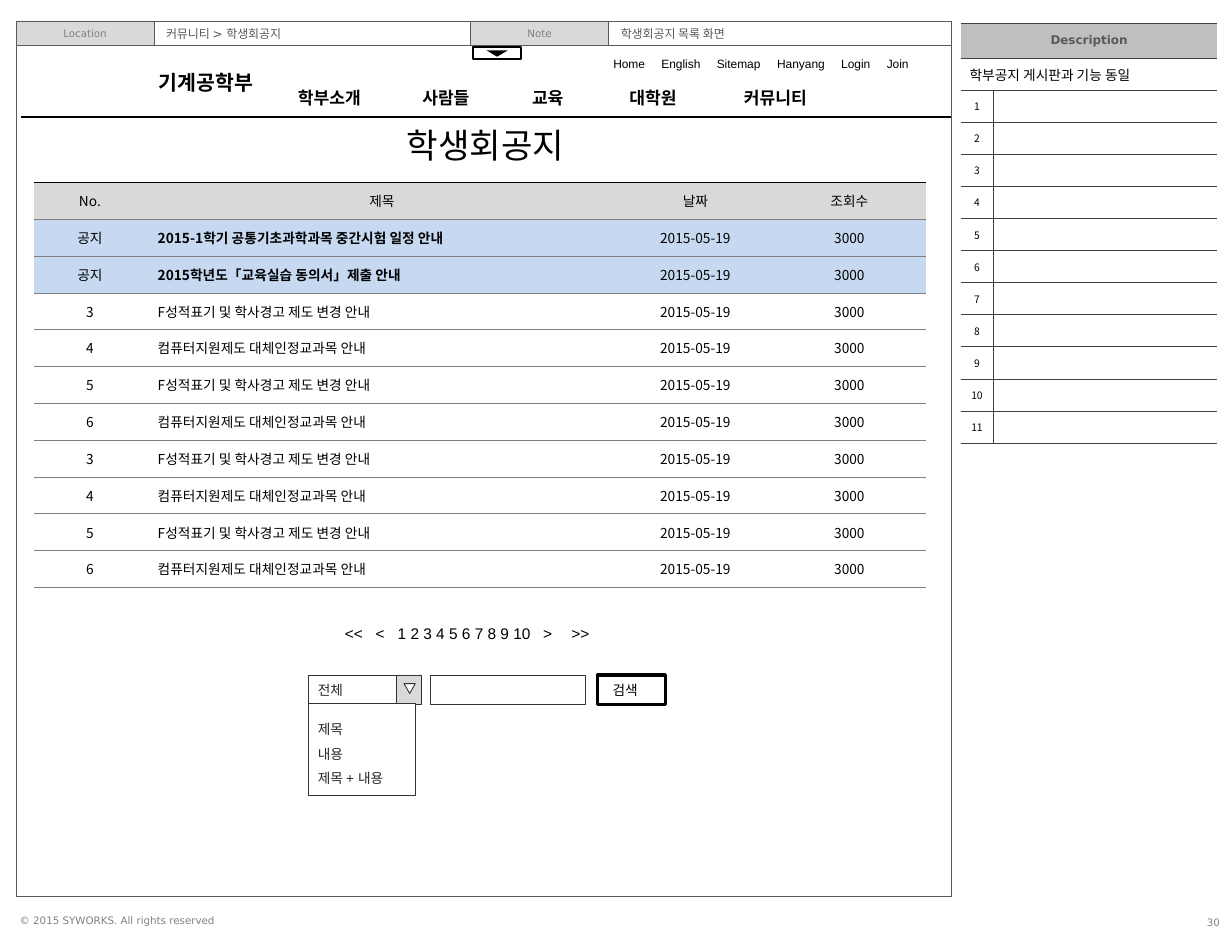
from lxml.etree import SubElement
from pptx import Presentation
from pptx.dml.color import RGBColor
from pptx.enum.shapes import MSO_CONNECTOR as Connector, MSO_SHAPE as Shape
from pptx.enum.text import MSO_ANCHOR as Anchor, MSO_AUTO_SIZE as AutoSize, PP_ALIGN as Align
from pptx.oxml.ns import qn
from pptx.util import Inches, Pt

BLACK = RGBColor(0x00, 0x00, 0x00)
INK = RGBColor(0x26, 0x26, 0x26)
CONTROL = RGBColor(0x33, 0x33, 0x33)
RULE = RGBColor(0x40, 0x40, 0x40)
DARK = RGBColor(0x59, 0x59, 0x59)
GREY = RGBColor(0x80, 0x80, 0x80)
SILVER = RGBColor(0xBF, 0xBF, 0xBF)
LIGHT = RGBColor(0xD9, 0xD9, 0xD9)
NOTICE = RGBColor(0xC6, 0xD9, 0xF1)
WHITE = RGBColor(0xFF, 0xFF, 0xFF)

KOREAN = "Noto Sans CJK KR"
PLAIN_TABLE = "{2D5ABB26-0587-4C30-8999-92F81FD0307C}"


def style(size, color=BLACK, name="Arial", bold=False):
    return {"size": Pt(size), "name": name, "bold": bold, "color": color}


SMALL = style(6, GREY, "DejaVu Sans")
BAR = style(7, DARK, "DejaVu Sans")
BODY = style(8, name=KOREAN)
SELECT = style(8, INK)
CONTROL_INSETS = (0.08, 0.04, 0.18, 0.04)


def write(frame, text, look, align=Align.LEFT, tabs=(), spacing=None):
    """Fill a text frame, one paragraph per line; tabs are in inches."""
    for i, line in enumerate(text.split("\n")):
        paragraph = frame.paragraphs[0] if i == 0 else frame.add_paragraph()
        paragraph.alignment = align
        if spacing:
            paragraph.line_spacing = spacing
        if tabs:
            tab_list = SubElement(paragraph._p.get_or_add_pPr(), qn("a:tabLst"))
            for stop in tabs:
                SubElement(tab_list, qn("a:tab"), pos=str(Inches(stop)), algn="l")
        if not line:
            paragraph._p.get_or_add_endParaRPr().set("sz", str(int(look["size"].pt * 100)))
            continue
        run = paragraph.add_run()
        run.text = line
        for key, value in look.items():
            if key == "color":
                run.font.color.rgb = value
            else:
                setattr(run.font, key, value)
        SubElement(run._r.get_or_add_rPr(), qn("a:ea"), typeface=KOREAN)


def set_insets(target, insets):
    for side, inset in zip(("left", "top", "right", "bottom"), insets):
        setattr(target, f"margin_{side}", Inches(inset))


def add_text(shapes, box, text, look, anchor=Anchor.TOP, insets=(0.1, 0.05, 0.1, 0.05), **layout):
    frame = shapes.add_textbox(*map(Inches, box)).text_frame
    frame.word_wrap = True
    frame.vertical_anchor = anchor
    set_insets(frame, insets)
    write(frame, text, look, **layout)


def add_block(shapes, box, fill=None, line=None, width=0.5, kind=Shape.RECTANGLE,
              text="", look=SMALL, insets=(0.1, 0.05, 0.1, 0.05), **layout):
    block = shapes.add_shape(kind, *map(Inches, box))
    block.shadow.inherit = False
    if fill is None:
        block.fill.background()
    else:
        block.fill.solid()
        block.fill.fore_color.rgb = fill
    if line is None:
        block.line.fill.background()
    else:
        block.line.color.rgb = line
        block.line.width = Pt(width)
    if text:
        block.text_frame.vertical_anchor = Anchor.MIDDLE
        set_insets(block.text_frame, insets)
        write(block.text_frame, text, look, **layout)
    return block


def add_grid(shapes, box, row_count, columns):
    table = shapes.add_table(row_count, len(columns), *map(Inches, box)).table
    table._tbl.tblPr[0].text = PLAIN_TABLE
    table.first_row = table.horz_banding = False
    for column, width in zip(table.columns, columns):
        column.width = Inches(width)
    return table


def fill_cell(cell, text, look, fill, borders, width, align=Align.CENTER, insets=None):
    """borders maps L, R, T, B, in that order, to a colour."""
    cell.vertical_anchor = Anchor.MIDDLE
    if insets:
        set_insets(cell, insets)
    write(cell.text_frame, text, look, align)
    for side, color in borders.items():
        edge = SubElement(cell._tc.get_or_add_tcPr(), qn(f"a:ln{side}"), w=str(Pt(width)))
        SubElement(SubElement(edge, qn("a:solidFill")), qn("a:srgbClr"), val=str(color))
    cell.fill.solid()
    cell.fill.fore_color.rgb = fill


def build_frame(shapes, left, top, width, height):
    add_block(shapes, (left, top, width, height), line=DARK, width=0.25)
    # Location and note bar
    label, bar = 1.12, 0.2
    x = left
    for name, value, value_width in (("Location", "커뮤니티 > 학생회공지", 2.57),
                                     ("Note", "학생회공지 목록 화면", 2.78)):
        add_block(shapes, (x, top, label, bar), LIGHT, DARK, 0.25, text=name, align=Align.CENTER)
        add_block(shapes, (x + label, top, value_width, bar), None, DARK, 0.25,
                  text=value, look=BAR, align=Align.LEFT)
        x += label + value_width
    # Copyright line and page number
    add_text(shapes, (left + 0.03, top + 7.25, 1.8, 0.1), "© 2015 SYWORKS. All rights reserved",
             SMALL, insets=(0, 0, 0, 0))
    add_text(shapes, (left + 9.4, top + 7.18, 0.47, 0.28), "30", SMALL, Anchor.MIDDLE,
             align=Align.RIGHT)


def build_site_header(shapes, left, top, width, height):
    rule = shapes.add_connector(Connector.STRAIGHT, Inches(left), Inches(top + height),
                                Inches(left + width), Inches(top + height))
    rule.line.color.rgb = BLACK
    rule.line.width = Pt(0.75)
    SubElement(rule._element.spPr, qn("a:effectLst"))
    add_text(shapes, (left + 1.02, top + 0.15, 1.04, 0.3), "기계공학부", style(12, bold=True))
    add_text(shapes, (left + 2.15, top + 0.29, 5.05, 0.27), "학부소개\t사람들\t교육\t대학원\t커뮤니티",
             style(10, bold=True), tabs=(1.01, 1.9, 2.69, 3.62))
    add_text(shapes, (left + 4.71, top + 0.04, 2.84, 0.22),
             "Home\tEnglish\tSitemap\tHanyang\tLogin\tJoin", style(7),
             tabs=(0.39, 0.84, 1.33, 1.85, 2.22))
    # Pull-down handle
    add_block(shapes, (left + 3.67, top + 0.01, 0.39, 0.1), WHITE, BLACK, 1)
    add_block(shapes, (left + 3.78, top + 0.04, 0.17, 0.05), BLACK,
              kind=Shape.ISOSCELES_TRIANGLE).rotation = 180


def build_title(title, left, top, width, height):
    for side, value in zip(("left", "top", "width", "height"), (left, top, width, height)):
        setattr(title, side, Inches(value))
    frame = title.text_frame
    for key, value in {"word_wrap": True, "auto_size": AutoSize.NONE,
                       "vertical_anchor": Anchor.TOP}.items():
        setattr(frame, key, value)
    write(frame, "학생회공지", style(20), Align.CENTER)


def build_board(shapes, left, top, width, height):
    notices = ["2015-1학기 공통기초과학과목 중간시험 일정 안내", "2015학년도「교육실습 동의서」제출 안내"]
    posts = ["F성적표기 및 학사경고 제도 변경 안내", "컴퓨터지원제도 대체인정교과목 안내"] * 4
    numbers = ["공지"] * 2 + ["3", "4", "5", "6"] * 2
    rows = [("No.", "제목", "날짜", "조회수")]
    rows += [(no, subject, "2015-05-19", "3000") for no, subject in zip(numbers, notices + posts)]
    table = add_grid(shapes, (left, top, width, height), len(rows), (0.9, 3.84, 1.25, 1.25))
    for r, row in enumerate(rows):
        is_notice = row[0] == "공지"
        fill = LIGHT if r == 0 else NOTICE if is_notice else WHITE
        borders = {"T": GREY if r else BLACK, "B": GREY}
        for c, text in enumerate(row):
            is_subject = r > 0 and c == 1
            fill_cell(table.cell(r, c), text, {**BODY, "bold": is_subject and is_notice}, fill,
                      borders, 0.25, Align.LEFT if is_subject else Align.CENTER)


def build_search(shapes, left, top, height):
    # Pager
    add_text(shapes, (left + 0.2, top - 0.46, 2.42, 0.25), "<<\t<\t1 2 3 4 5 6 7 8 9 10\t>\t>>",
             style(9), tabs=(0.25, 0.43, 1.61, 1.84))
    # Scope selector
    selector = shapes.add_group_shape().shapes
    add_block(selector, (left, top, 0.72, height), WHITE, CONTROL, text="전체", look=SELECT,
              insets=CONTROL_INSETS)
    add_block(selector, (left + 0.72, top, 0.2, height), LIGHT, CONTROL)
    add_block(selector, (left + 0.78, top + 0.07, 0.09, 0.08), WHITE, CONTROL,
              kind=Shape.ISOSCELES_TRIANGLE).rotation = 180
    # Keyword field, button and open options
    add_block(shapes, (left + 0.99, top, 1.26, height), WHITE, CONTROL)
    add_block(shapes, (left + 2.35, top, 0.55, height), WHITE, BLACK, 2, text="검색",
              look=style(8), insets=CONTROL_INSETS, align=Align.CENTER)
    add_block(shapes, (left, top + 0.23, 0.87, 0.75), WHITE, CONTROL, text="제목\n내용\n제목 + 내용",
              look=SELECT, insets=CONTROL_INSETS, spacing=1.5)


def build_description(shapes, left, top, width, height):
    note_count, head_height = 11, 0.28
    insets = (0.07, 0.04, 0.07, 0.04)
    table = add_grid(shapes, (left, top, width, height), note_count + 2, (0.26, width - 0.26))
    for r, row in enumerate(table.rows):
        row.height = Inches((height - head_height) / (note_count + 1) if r else head_height)
    edges = {"T": RULE, "B": RULE}
    heads = (("Description", style(7, DARK, "DejaVu Sans", True), SILVER, Align.CENTER),
             ("학부공지 게시판과 기능 동일", style(8), WHITE, Align.LEFT))
    for r, (text, look, fill, align) in enumerate(heads):
        table.cell(r, 0).merge(table.cell(r, 1))
        fill_cell(table.cell(r, 0), text, look, fill, edges, 0.5, align, insets)
    number = style(6, name=KOREAN)
    for n in range(1, note_count + 1):
        fill_cell(table.cell(n + 1, 0), str(n), number, WHITE, {"R": RULE, **edges}, 0.5,
                  insets=insets)
        fill_cell(table.cell(n + 1, 1), "", number, WHITE, {"L": RULE, **edges}, 0.5,
                  insets=insets)


def main():
    deck = Presentation()
    deck.slide_width, deck.slide_height = Inches(10), Inches(7.68)
    slide = deck.slides.add_slide(deck.slide_layouts[5])
    shapes = slide.shapes
    build_frame(shapes, 0.13, 0.17, 7.59, 7.11)
    build_description(shapes, 7.8, 0.19, 2.08, 3.41)
    build_site_header(shapes, 0.17, 0.37, 7.55, 0.58)
    build_title(shapes.title, 3.14, 0.96, 1.6, 0.44)
    build_board(shapes, 0.28, 1.48, 7.24, 3.29)
    build_search(shapes, 2.5, 5.48, 0.24)
    deck.save("out.pptx")


if __name__ == "__main__":
    main()
